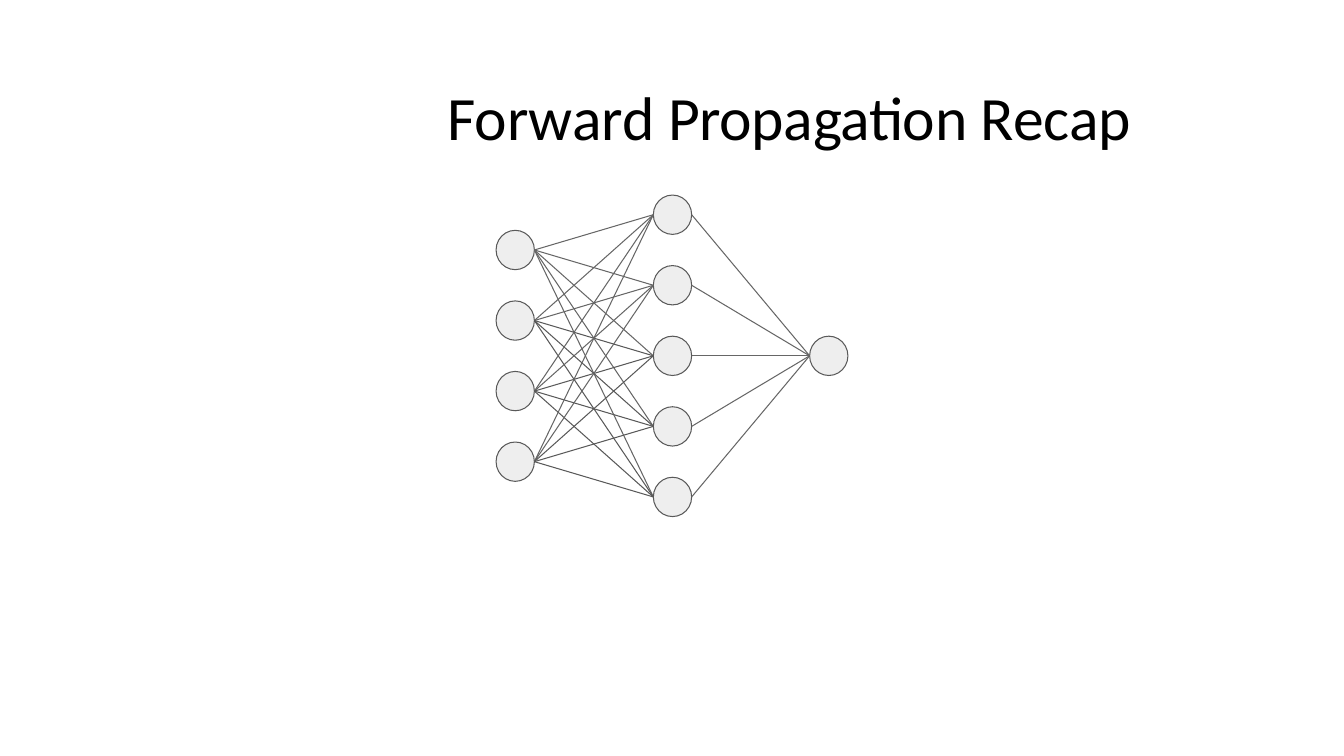
from dataclasses import dataclass

from lxml import etree
from pptx import Presentation
from pptx import util as u
from pptx.dml.color import RGBColor
from pptx.enum import shapes, text
from pptx.oxml.ns import qn

COLORS = {"node": "EEEEEE", "outline": "595959", "link": "666666", "title": "000000"}
NODE_W, NODE_H = 0.38, 0.39
PITCH, MIDDLE = 0.7, 3.53


@dataclass(frozen=True)
class Layer:
    """A column of neurons."""
    left: float
    count: int

    @property
    def centers(self) -> list[float]:
        """Return the vertical centres, spread evenly about the middle."""
        return [MIDDLE + (i - (self.count - 1) / 2) * PITCH for i in range(self.count)]


INPUT, HIDDEN, OUTPUT = LAYERS = Layer(4.92, 4), Layer(6.48, 5), Layer(8.03, 1)


def rgb(name: str) -> RGBColor:
    """Return a palette colour."""
    return RGBColor.from_string(COLORS[name])


def add_node(slide, left: float, center: float) -> None:
    """Draw one neuron."""
    sp = slide.shapes.add_shape(
        shapes.MSO_SHAPE.OVAL, u.Inches(left), u.Inches(center - NODE_H / 2),
        u.Inches(NODE_W), u.Inches(NODE_H))
    sp.shadow.inherit = False
    sp.fill.solid()
    sp.fill.fore_color.rgb = rgb("node")
    sp.line.color.rgb = rgb("outline")
    sp.line.width = u.Pt(0.75)


def add_link(slide, x1: float, y1: float, x2: float, y2: float, color: str) -> None:
    """Draw one straight link between neurons."""
    cxn = slide.shapes.add_connector(
        shapes.MSO_CONNECTOR.STRAIGHT, u.Inches(x1), u.Inches(y1), u.Inches(x2), u.Inches(y2))
    cxn.line.color.rgb = rgb(color)
    cxn.line.width = u.Pt(0.75)
    etree.SubElement(cxn._element.spPr, qn("a:effectLst"))


def link_layers(slide, source: Layer, target: Layer) -> None:
    """Connect every neuron of one layer to every neuron of the next."""
    for i, y1 in enumerate(source.centers):
        for j, y2 in enumerate(target.centers):
            color = "link" if i == 0 or j < 2 else "outline"
            add_link(slide, source.left + NODE_W, y1, target.left, y2, color)


def add_run(p, content: str, *, size: float, font: str, color: str, spacing: int) -> None:
    """Append formatted text, with letter spacing in hundredths of a point."""
    r = p.add_run()
    r.text = content
    r.font.size = u.Pt(size)
    r.font.name = font
    r.font.color.rgb = rgb(color)
    r.font._element.set("spc", str(spacing))


def set_title(slide) -> None:
    """Place and fill the title."""
    sp = slide.shapes.title
    sp.left, sp.top, sp.width, sp.height = map(u.Inches, (1.22, 0.5, 10.85, 1.02))
    tf = sp.text_frame
    tf.margin_left = tf.margin_right = tf.margin_bottom = 0
    tf.margin_top = u.Inches(0.27)
    tf.word_wrap = True
    tf.vertical_anchor = text.MSO_ANCHOR.MIDDLE
    tf.auto_size = text.MSO_AUTO_SIZE.SHAPE_TO_FIT_TEXT
    p = tf.paragraphs[0]
    p.alignment = text.PP_ALIGN.LEFT
    p.space_before = u.Pt(0)
    pPr = p._p.get_or_add_pPr()
    pPr.set("marL", str(u.Inches(3.22)))
    pPr.set("indent", "0")
    for content, spacing in (("Forward ", -10), ("Propagation ", -30), ("Recap", -10)):
        add_run(p, content, size=44, font="Calibri", color="title", spacing=spacing)


def main() -> None:
    """Build the neural network slide."""
    prs = Presentation()
    prs.slide_width, prs.slide_height = u.Inches(13.33), u.Inches(7.5)
    slide = prs.slides.add_slide(prs.slide_layouts[5])
    set_title(slide)
    for layer in LAYERS:
        for center in layer.centers:
            add_node(slide, layer.left, center)
    link_layers(slide, INPUT, HIDDEN)
    for center in HIDDEN.centers:
        add_link(slide, HIDDEN.left + NODE_W, center, OUTPUT.left, MIDDLE, "link")
    prs.save("out.pptx")


if __name__ == "__main__":
    main()
